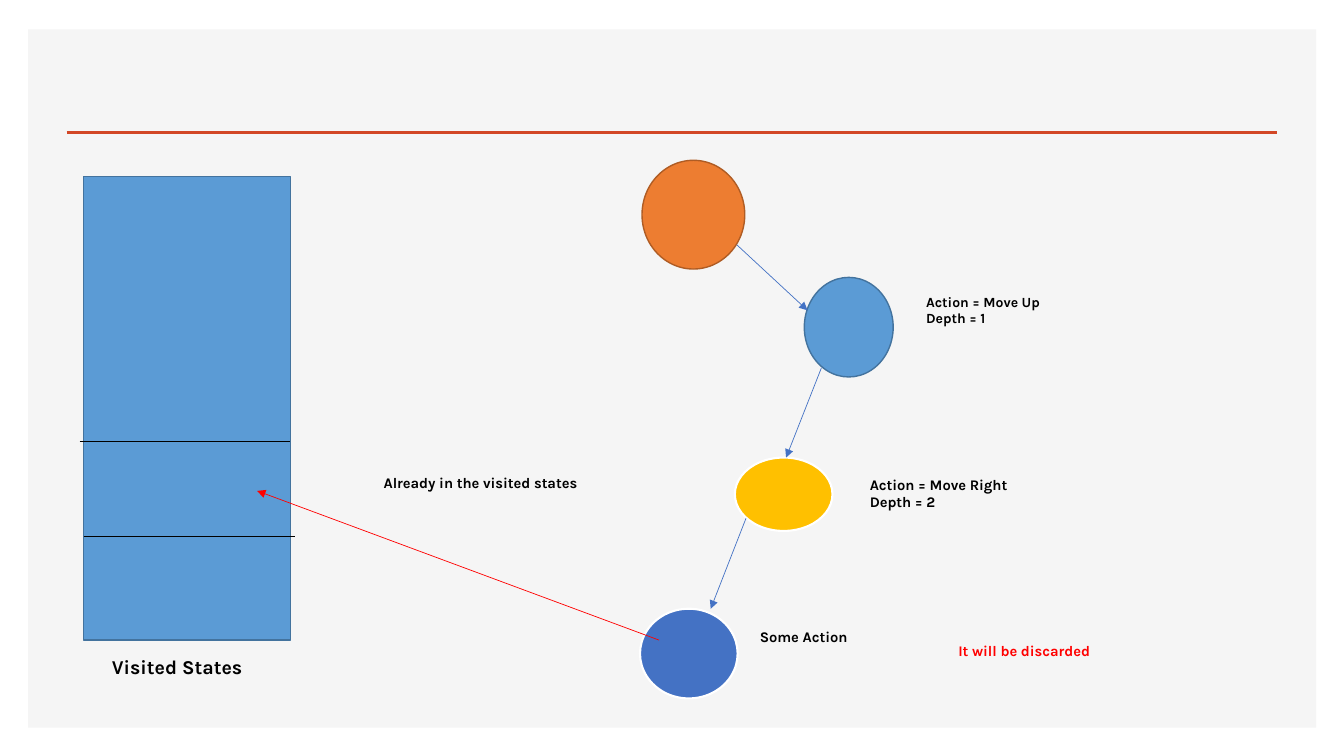
"""Build the visited states search slide."""
from lxml import etree
from pptx import Presentation
from pptx.dml.color import RGBColor
from pptx.enum import shapes, text
from pptx.oxml import ns
from pptx.util import Cm, Pt

HUES = {
    "white": "FFFFFF", "panel": "F5F5F5", "rule": "D24726",
    "orange": "ED7D31", "rust": "AF5C24", "sky": "5B9BD5", "steel": "43739E",
    "gold": "FFC000", "blue": "4472C4", "black": "000000", "red": "FF0000",
}
KIND = shapes.MSO_SHAPE


def add_form(kind, box, fill, edge=None, width=1):
    form = slide.shapes.add_shape(kind, *map(Cm, box))
    form.shadow.inherit = False
    form.fill.solid()
    form.fill.fore_color.rgb = RGBColor.from_string(HUES[fill])
    if edge:
        form.line.color.rgb = RGBColor.from_string(HUES[edge])
        form.line.width = Pt(width)
    else:
        form.line.fill.background()


def add_line(ends, hue, width=0.5, head=False):
    line = slide.shapes.add_connector(shapes.MSO_CONNECTOR.STRAIGHT, *map(Cm, ends))
    line.line.color.rgb = RGBColor.from_string(HUES[hue])
    line.line.width = Pt(width)
    if head:
        etree.SubElement(line.line._get_or_add_ln(), ns.qn("a:tailEnd"), type="triangle")
    etree.SubElement(line._element.spPr, ns.qn("a:effectLst"))


deck = Presentation()
deck.slide_width, deck.slide_height = Cm(33.87), Cm(19.05)
slide = deck.slides.add_slide(deck.slide_layouts[6])

add_form(KIND.RECTANGLE, (0.71, 0.74, 32.46, 17.6), "panel")
add_line((1.68, 3.33, 32.18, 3.33), "rule", 2)

nodes = [
    ((16.18, 4.04, 2.59, 2.74), "orange", "rust", 1),
    ((20.27, 6.99, 2.24, 2.51), "sky", "steel", 1),
    ((18.52, 11.53, 2.46, 1.85), "gold", "white", 1.5),
    ((16.13, 15.34, 2.46, 2.26), "blue", "white", 1.5),
]
for box, fill, edge, width in nodes:
    add_form(KIND.OVAL, box, fill, edge, width)

add_form(KIND.RECTANGLE, (2.11, 4.45, 5.21, 11.68), "sky", "steel")
for left, right, top in [(2.11, 7.44, 13.51), (2.01, 7.32, 11.13)]:
    add_line((left, top, right, top), "black")

arrows = [
    ((18.57, 6.17, 20.35, 7.82), "blue"),
    ((20.7, 9.27, 19.81, 11.53), "blue"),
    ((18.8, 13.06, 17.91, 15.34), "blue"),
    ((16.61, 16.13, 6.48, 12.37), "red"),
]
for ends, hue in arrows:
    add_line(ends, hue, head=True)

labels = [
    ((23.09, 7.26, 4.78, 1.12), 10, "black", ["Action = Move Up", "Depth = 1"]),
    ((21.67, 11.86, 6.2, 1.19), 10.5, "black", ["Action = Move Right", "Depth = 2"]),
    ((18.9, 15.7, 6.2, 0.71), 10.5, "black", ["Some Action"]),
    ((2.57, 16.38, 4.78, 0.86), 14, "black", ["Visited States"]),
    ((9.42, 11.81, 6.2, 0.71), 10.5, "black", ["Already in the visited states"]),
    ((23.9, 16.05, 6.2, 0.71), 10.5, "red", ["It will be discarded"]),
]
for box, size, hue, rows in labels:
    frame = slide.shapes.add_textbox(*map(Cm, box)).text_frame
    frame.word_wrap = True
    frame.auto_size = text.MSO_AUTO_SIZE.SHAPE_TO_FIT_TEXT
    for place, row in enumerate(rows):
        para = frame.add_paragraph() if place else frame.paragraphs[0]
        run = para.add_run()
        run.text = row
        run.font.name = "Karla"
        run.font.size = Pt(size)
        run.font.bold = True
        run.font.color.rgb = RGBColor.from_string(HUES[hue])

deck.save("out.pptx")
